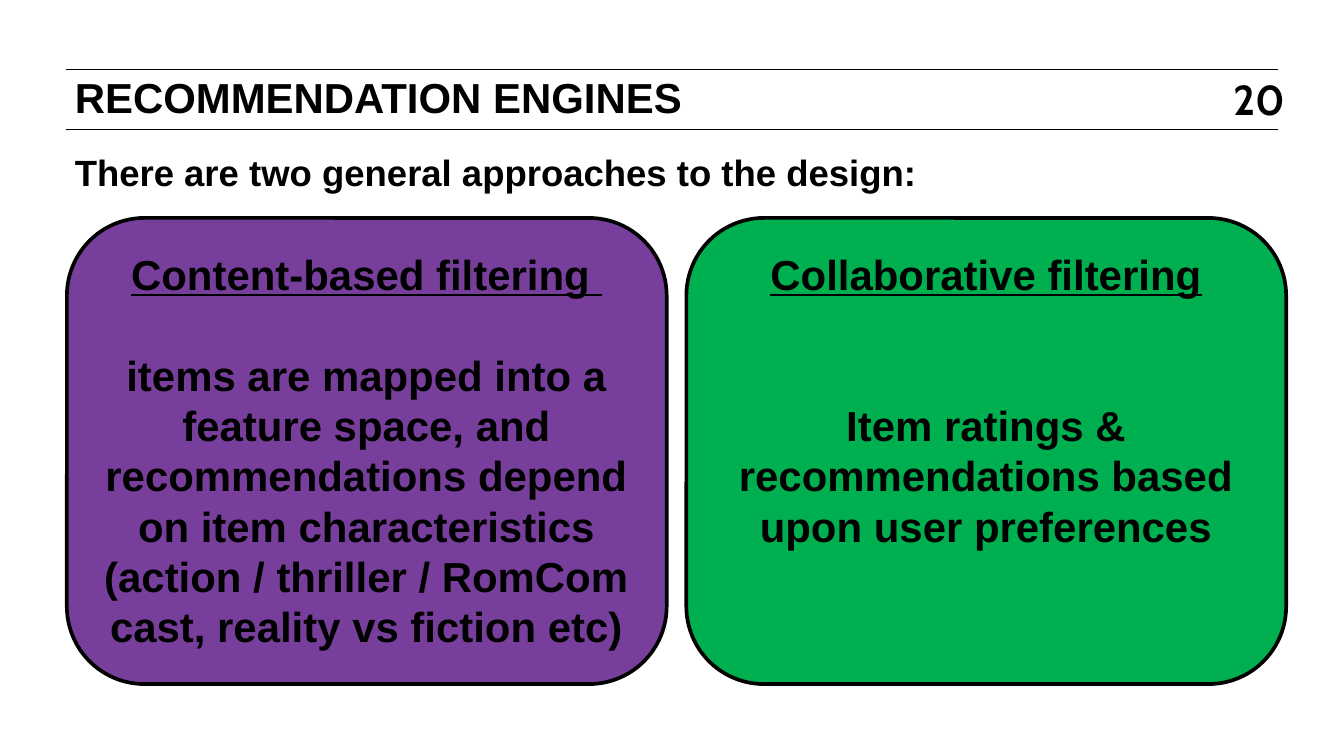
"""Build the slide on two approaches to recommendation engines."""
from pptx import Presentation
from pptx.dml.color import RGBColor as RGB
from pptx.enum.shapes import MSO_CONNECTOR as Conn, MSO_SHAPE as Shape
from pptx.enum.text import MSO_ANCHOR as Anchor, MSO_AUTO_SIZE as Auto, PP_ALIGN as Align
from pptx.oxml.ns import qn
from pptx.util import Inches, Pt
from lxml.etree import SubElement as Sub

HUES = {"ink": "000000", "plum": "773F9B", "green": "00B050"}
INK = RGB.from_string(HUES["ink"])


def frame(shape, inset, anchor=Anchor.TOP, wrap=True):
    text = shape.text_frame
    text.auto_size = Auto.NONE
    text.word_wrap = wrap
    text.vertical_anchor = anchor
    text.margin_left = text.margin_right = Inches(inset)
    text.margin_top = text.margin_bottom = Inches(inset)
    return text


def write(para, words, size=23, face="Arial", line=False):
    run = para.add_run()
    run.text = words
    font = run.font
    font.name, font.size, font.bold = face, Pt(size), True
    font.underline = line
    font.color.rgb = INK


deck = Presentation()
deck.slide_width, deck.slide_height = Inches(10.24), Inches(5.75)
slide = deck.slides.add_slide(deck.slide_layouts[1])
shapes = slide.shapes

for y in (0.53, 0.99):
    rule = shapes.add_connector(Conn.STRAIGHT, Inches(0.5), Inches(y), Inches(9.74), Inches(y))
    rule.line.color.rgb = INK
    rule.line.width = Pt(0.5)
    Sub(rule._element.spPr, qn("a:effectLst"))

page = shapes.add_textbox(Inches(9.4), Inches(0.56), Inches(0.39), Inches(0.38))
para = frame(page, 0, Anchor.MIDDLE, False).paragraphs[0]
para.alignment = Align.CENTER
write(para, "20", face="Cabin")

heads = [
    (shapes.title, 0.55, 8.61, 1.11, 23, 23, "RECOMMENDATION ENGINES"),
    (slide.placeholders[1], 1.08, 9.22, 4.41, 20, 24,
     "There are two general approaches to the design:"),
]
for holder, top, width, height, size, pitch, words in heads:
    holder.left, holder.top = Inches(0.51), Inches(top)
    holder.width, holder.height = Inches(width), Inches(height)
    para = frame(holder, 0.06).paragraphs[0]
    props = para._p.get_or_add_pPr()
    props.set("marL", "0")
    props.set("indent", "0")
    Sub(props, qn("a:buNone"))
    para.alignment = Align.LEFT
    para.line_spacing, para.space_before = Pt(pitch), Pt(0)
    write(para, words, size)

PITCH = 27.6
cards = [
    ("plum", "Content-based filtering ", 1, [
        ["items are mapped into a feature space, and recommendations depend "
         "on item characteristics", "(action / thriller / RomCom"],
        ["cast, reality vs fiction etc)"],
    ]),
    ("green", "Collaborative filtering", 2, [
        ["Item ratings & recommendations based upon user preferences"],
    ]),
]
for col, (hue, head, gap, body) in enumerate(cards):
    card = shapes.add_shape(Shape.ROUNDED_RECTANGLE, Inches(0.51 + 4.72 * col),
                            Inches(1.66), Inches(4.57), Inches(3.55))
    card.shadow.inherit = False
    card.fill.solid()
    card.fill.fore_color.rgb = RGB.from_string(HUES[hue])
    card.line.color.rgb = INK
    card.line.width = Pt(2)
    text = frame(card, 0.06)
    for row, lines in enumerate([[head], *body]):
        para = text.add_paragraph() if row else text.paragraphs[0]
        para.alignment = Align.CENTER
        para.line_spacing = Pt(PITCH)
        if row == 1:
            para.space_before = Pt(PITCH * gap)
        for part, words in enumerate(lines):
            if part:
                para.add_line_break()
            write(para, words, line=row == 0)

deck.save("out.pptx")
